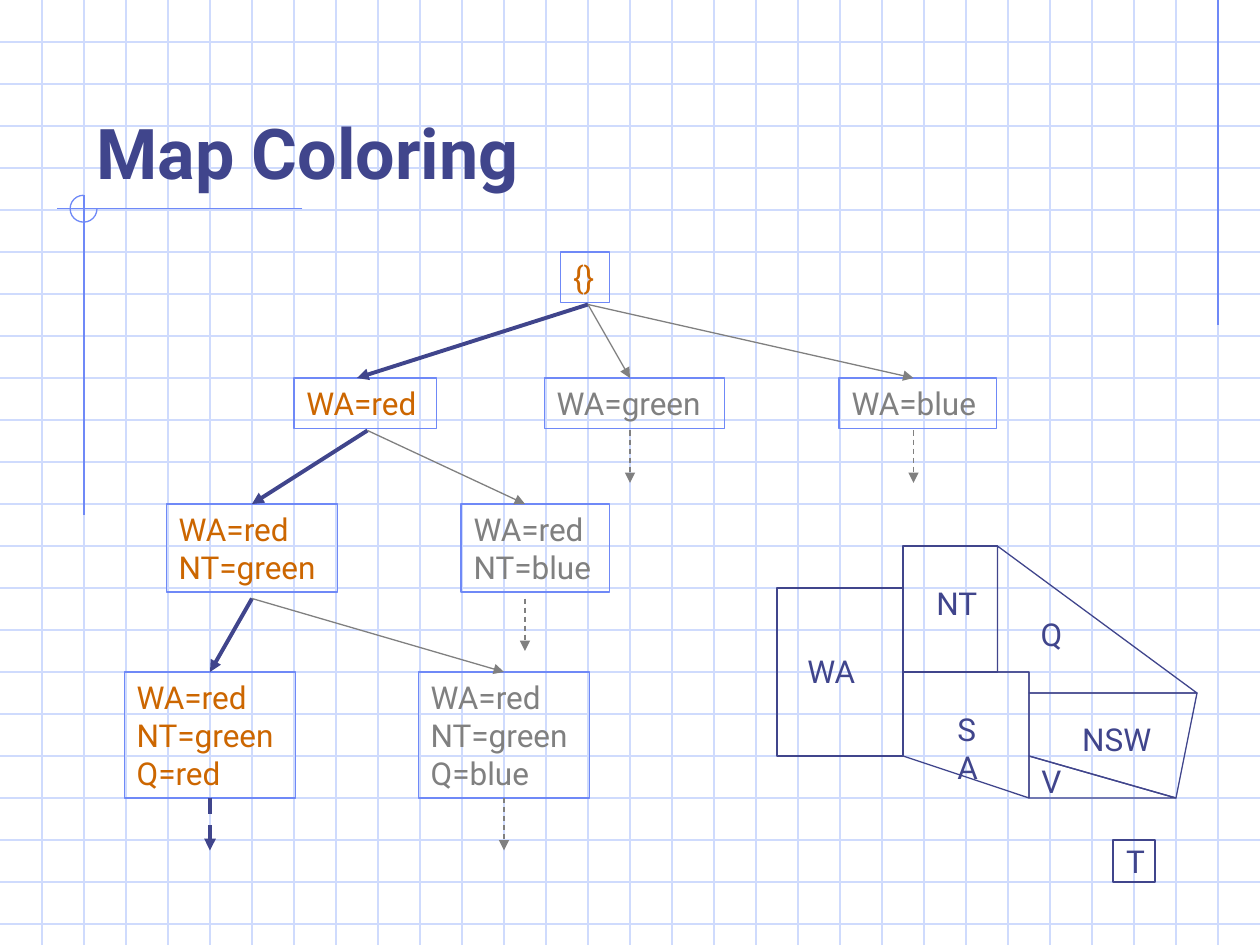
from dataclasses import dataclass

from lxml.etree import SubElement
from pptx import Presentation
from pptx.dml.color import RGBColor as Rgb
from pptx.enum.dml import MSO_LINE_DASH_STYLE as Dash
from pptx.enum.shapes import MSO_CONNECTOR as Connector, MSO_SHAPE as Shape
from pptx.enum.text import MSO_ANCHOR as Anchor, MSO_AUTO_SIZE as AutoSize, PP_ALIGN as Align
from pptx.oxml.ns import qn
from pptx.util import Cm, Pt


@dataclass(frozen=True)
class Theme:
    font: str = "Roboto"
    navy: Rgb = Rgb.from_string("40458C")
    blue: Rgb = Rgb.from_string("6F89F7")
    pale: Rgb = Rgb.from_string("CFDBFD")
    orange: Rgb = Rgb.from_string("CC6600")
    gray: Rgb = Rgb.from_string("808080")
    title_size: Pt = Pt(40)
    body_size: Pt = Pt(18)
    thin: Pt = Pt(0.75)
    thick: Pt = Pt(2.25)


theme = Theme()
CELL = 2.54 / 3  # grid pitch in cm; every position below counts grid cells

deck = Presentation()
deck.slide_width, deck.slide_height = Cm(25.4), Cm(19.05)
page = deck.slides.add_slide(deck.slide_layouts[5])
nodes = {}


def draw_line(start, end, color, width=theme.thin, dashed=False, arrow=False):
    """Draw a line; a node name as start or end joins that node's bottom or top."""
    points = [(0, 0) if isinstance(spot, str) else spot for spot in (start, end)]
    connector = page.shapes.add_connector(
        Connector.STRAIGHT, *(Cm(CELL * value) for point in points for value in point))
    if isinstance(start, str):
        connector.begin_connect(nodes[start], 2)
    if isinstance(end, str):
        connector.end_connect(nodes[end], 0)
    connector.line.color.rgb = color
    connector.line.width = width
    if dashed:
        connector.line.dash_style = Dash.DASH
    if arrow:
        SubElement(connector.line._get_or_add_ln(), qn("a:tailEnd"), type="triangle")
    SubElement(connector.element.spPr, qn("a:effectLst"))


def write(box, lines, color, size=theme.body_size, bold=False, anchor=Anchor.TOP, right=0.0):
    frame = box.text_frame
    frame.word_wrap = True
    frame.auto_size = AutoSize.NONE
    frame.vertical_anchor = anchor
    frame.margin_left, frame.margin_right = Cm(0.25), Cm(right)
    frame.margin_top = frame.margin_bottom = Cm(0.13)
    for index, line in enumerate(lines):
        para = frame.add_paragraph() if index else frame.paragraphs[0]
        para.alignment = Align.LEFT
        span = para.add_run()
        span.text = line
        span.font.name, span.font.size, span.font.bold = theme.font, size, bold
        span.font.color.rgb = color


# Graph paper
for row in range(1, 23):
    draw_line((0, row), (30, row), theme.pale)
for column in range(1, 30):
    draw_line((column, 0), (column, 22.5), theme.pale)

# Blueprint rules with the corner arc
draw_line((29, 0), (29, 7.74), theme.blue)
draw_line((7.2, 4.97), (1.35, 4.97), theme.blue)
draw_line((2, 4.65), (2, 12.27), theme.blue)
arc = page.shapes.add_shape(Shape.ARC, *(Cm(CELL * v) for v in (1.67, 4.65, 0.64, 0.64)))
arc.adjustments[0], arc.adjustments[1] = 0, 162  # from 0 to 270 degrees
outlined = [(arc, theme.blue)]

# Title, brought in front of the graph paper
title = page.shapes.title
title.left, title.top, title.width, title.height = (
    Cm(CELL * v) for v in (2, 1, 25.5, 3.75))
write(title, ["Map Coloring"], theme.navy, theme.title_size, True, Anchor.BOTTOM)
page.shapes.element.append(title.element)

# Search tree: name, left, top, width, text colour, lines
for name, left, top, width, color, lines in [
    ("root", 13.35, 6, 1.17, theme.orange, ["{}"]),
    ("red", 7, 9, 3.39, theme.orange, ["WA=red"]),
    ("green", 12.96, 9, 4.29, theme.gray, ["WA=green"]),
    ("blue", 19.98, 9, 3.75, theme.gray, ["WA=blue"]),
    ("red green", 3.96, 12, 4.08, theme.orange, ["WA=red", "NT=green"]),
    ("red blue", 10.98, 12, 3.54, theme.gray, ["WA=red", "NT=blue"]),
    ("red green red", 2.96, 16, 4.08, theme.orange, ["WA=red", "NT=green", "Q=red"]),
    ("red green blue", 9.96, 16, 4.08, theme.gray, ["WA=red", "NT=green", "Q=blue"]),
]:
    height = 0.3 + 0.9 * len(lines)
    box = page.shapes.add_shape(
        Shape.RECTANGLE, *(Cm(CELL * v) for v in (left, top, width, height)))
    write(box, lines, color)
    nodes[name] = box
    outlined.append((box, theme.blue))

# Map regions: rectangles for WA, NT and T, outlines for SA, Q, NSW and V
for place in [(18.5, 14, 3, 4), (21.5, 13, 2.25, 3), (26.5, 20, 1, 1)]:
    region = page.shapes.add_shape(Shape.RECTANGLE, *(Cm(CELL * v) for v in place))
    outlined.append((region, theme.navy))
for corners in [
    [(21.5, 16), (24.5, 16), (24.5, 19), (21.5, 18)],
    [(23.75, 13), (28.5, 16.5), (24.5, 16.5), (24.5, 16), (23.75, 16)],
    [(24.5, 16.5), (24.5, 18), (28, 19), (28.5, 16.5)],
    [(24.5, 18), (24.5, 19), (28, 19)],
]:
    points = [(Cm(CELL * x), Cm(CELL * y)) for x, y in corners]
    builder = page.shapes.build_freeform(*points[0])
    builder.add_line_segments(points[1:], close=True)
    outlined.append((builder.convert_to_shape(), theme.navy))

for shape, color in outlined:
    shape.shadow.inherit = False
    shape.fill.background()
    shape.line.color.rgb = color
    shape.line.width = theme.thin

# Region labels; SA is narrow enough to break over two lines
for label, left, top, width, right in [
    ("WA", 18.93, 15.36, 1.77, 0), ("NT", 22, 13.75, 1.59, 0),
    ("SA", 22.5, 16.75, 1.47, 0.25), ("Q", 24.48, 14.5, 1.17, 0),
    ("NSW", 25.47, 17, 2.28, 0), ("V", 24.5, 18, 1.05, 0), ("T", 26.52, 19.9, 1.02, 0),
]:
    box = page.shapes.add_textbox(*(Cm(CELL * v) for v in (left, top, width, 1.2)))
    write(box, [label], theme.navy, right=right)

# Chosen path
for start, end, dashed in [
    ((14, 7.25), (8.5, 9), False),
    ((8.75, 10.25), "red green", False),
    ((6, 14.25), "red green red", False),
    ("red green red", (5, 20.25), True),
]:
    draw_line(start, end, theme.navy, theme.thick, dashed, arrow=True)

# Other branches
for start, end, dashed in [
    ((14, 7.25), (15, 9), False),
    ((14, 7.25), (21.75, 9), False),
    ((6, 14.25), "red green blue", False),
    ((8.75, 10.25), (12.5, 12), False),
    ((12.5, 14.25), (12.5, 15.5), True),
    ((15, 10.25), (15, 11.5), True),
    ("red green blue", (12, 20.25), True),
    ((21.75, 10.25), (21.75, 11.5), True),
]:
    draw_line(start, end, theme.gray, dashed=dashed, arrow=True)

deck.save("out.pptx")
